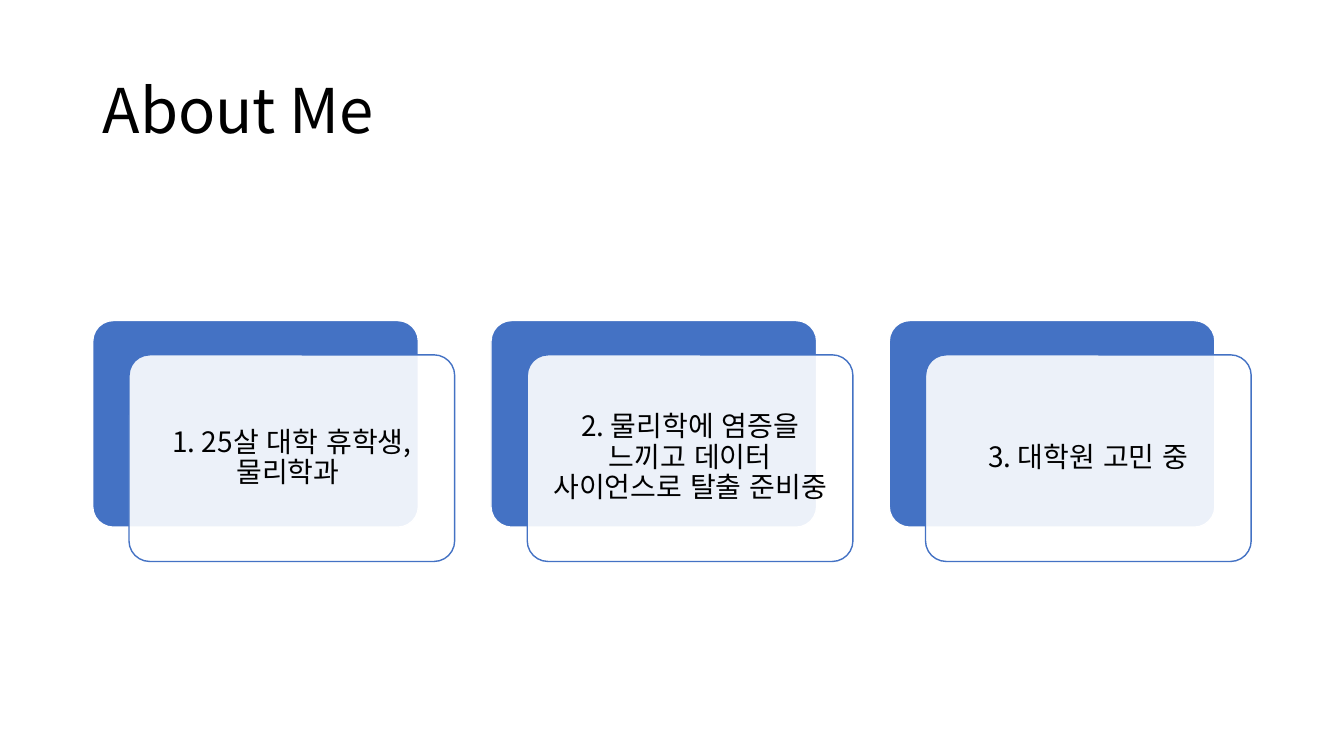
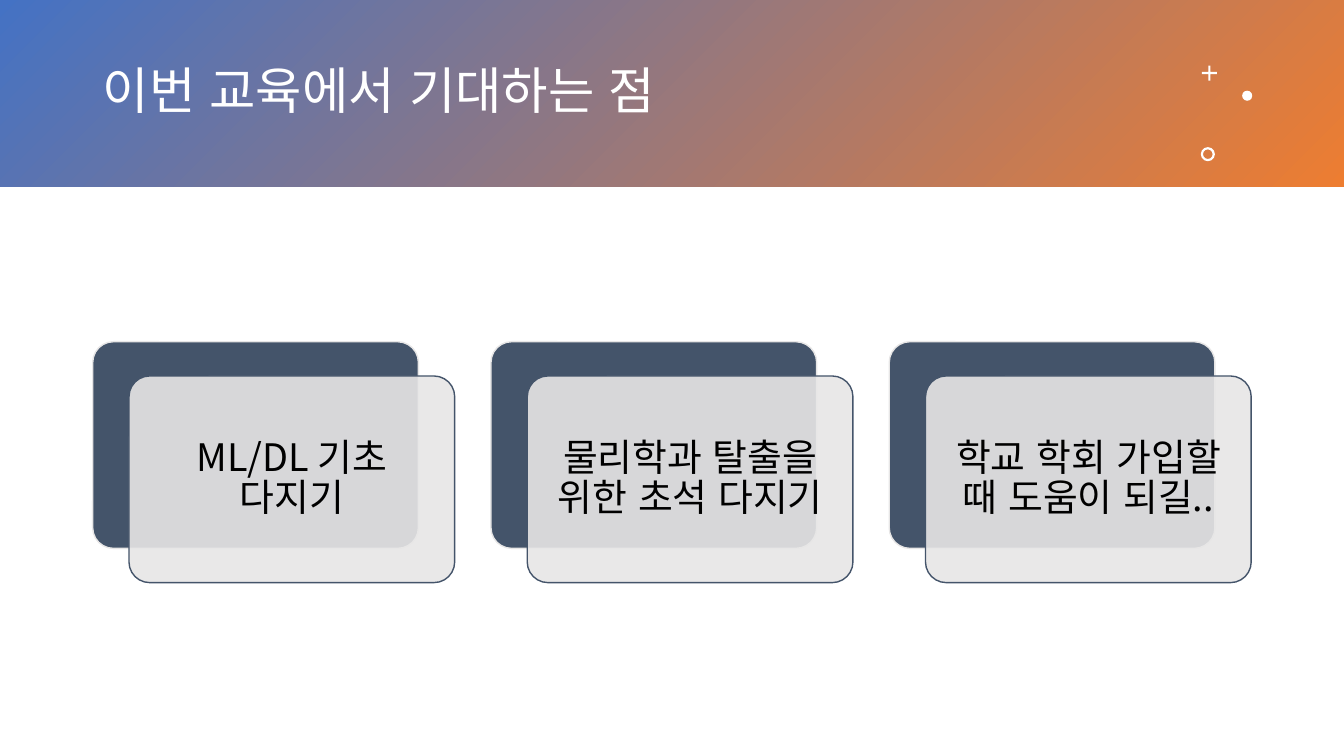
import pptx
import pptx.dml.color
import pptx.enum.lang
import pptx.enum.shapes
import pptx.enum.text
import pptx.oxml.ns
import pptx.util
from lxml import etree

Inches = pptx.util.Inches
Pt = pptx.util.Pt
RGBColor = pptx.dml.color.RGBColor
Shapes = pptx.enum.shapes.MSO_SHAPE
Align = pptx.enum.text.PP_ALIGN

FONT = "Noto Sans CJK KR"
BLACK = RGBColor(0x00, 0x00, 0x00)
WHITE = RGBColor(0xFF, 0xFF, 0xFF)
BLUE = RGBColor(0x44, 0x72, 0xC4)
ORANGE = RGBColor(0xED, 0x7D, 0x31)
SLATE = RGBColor(0x44, 0x54, 0x6A)
GREY = RGBColor(0xE7, 0xE6, 0xE6)

SLIDE_WIDTH, SLIDE_HEIGHT = 13.33, 7.5
MARGIN = 0.92
CARD_WIDTH, CARD_HEIGHT = 3.23, 2.05
CARD_STEP = 3.95
CARD_SHIFT_X, CARD_SHIFT_Y = 0.36, 0.34
CARD_PADDING = 0.06


def add_text(slide, text, box, size, color=BLACK, align=Align.LEFT, inset_x=0.1, inset_y=0.05):
    """Place one vertically centred paragraph in a box of inches."""
    shape = slide.shapes.add_textbox(*map(Inches, box))
    frame = shape.text_frame
    frame.word_wrap = True
    frame.vertical_anchor = pptx.enum.text.MSO_ANCHOR.MIDDLE
    frame.margin_left = frame.margin_right = Inches(inset_x)
    frame.margin_top = frame.margin_bottom = Inches(inset_y)
    paragraph = frame.paragraphs[0]
    paragraph.alignment = align
    paragraph.line_spacing = 0.9
    run = paragraph.add_run()
    run.text = text
    run.font.name = FONT
    run.font.size = Pt(size)
    run.font.color.rgb = color
    run.font.language_id = pptx.enum.lang.MSO_LANGUAGE_ID.KOREAN
    east_asian = etree.SubElement(run.font._element, pptx.oxml.ns.qn("a:ea"))
    east_asian.set("typeface", FONT)
    return shape


def add_preset(slide, preset, box, fill, line=None, opacity=100, adjustment=None):
    """Place a preset shape with a solid fill and an optional outline."""
    shape = slide.shapes.add_shape(preset, *map(Inches, box))
    shape.shadow.inherit = False
    shape.fill.solid()
    shape.fill.fore_color.rgb = fill
    if opacity < 100:
        color = shape._element.spPr.find(".//" + pptx.oxml.ns.qn("a:srgbClr"))
        alpha = etree.SubElement(color, pptx.oxml.ns.qn("a:alpha"))
        alpha.set("val", str(opacity * 1000))
    if line is None:
        shape.line.fill.background()
    else:
        shape.line.color.rgb = line
        shape.line.width = Pt(1)
    if adjustment is not None:
        shape.adjustments[0] = adjustment
    return shape


def add_card(slide, left, top, text, dark, light, size, inset):
    """Place a dark plate with a translucent, labelled plate shifted over it."""
    front_left, front_top = left + CARD_SHIFT_X, top + CARD_SHIFT_Y
    add_preset(slide, Shapes.ROUNDED_RECTANGLE, (left, top, CARD_WIDTH, CARD_HEIGHT),
               dark, line=light, adjustment=0.1)
    add_preset(slide, Shapes.ROUNDED_RECTANGLE, (front_left, front_top, CARD_WIDTH, CARD_HEIGHT),
               light, line=dark, opacity=90, adjustment=0.1)
    text_box = (front_left + CARD_PADDING, front_top + CARD_PADDING,
                CARD_WIDTH - 2 * CARD_PADDING, CARD_HEIGHT - 2 * CARD_PADDING)
    add_text(slide, text, text_box, size, align=Align.CENTER, inset_x=inset, inset_y=inset)


def add_card_row(slide, top, texts, **card_format):
    """Place the cards side by side from the left margin."""
    for index, text in enumerate(texts):
        add_card(slide, MARGIN + index * CARD_STEP, top, text, **card_format)


def add_sparkles(slide, left, top):
    """Place the plus, dot and ring ornament."""
    add_preset(slide, Shapes.CROSS, (left + 0.01, top, 0.15, 0.15), WHITE, adjustment=0.43)
    add_preset(slide, Shapes.OVAL, (left + 0.41, top + 0.25, 0.1, 0.1), WHITE)
    add_preset(slide, Shapes.DONUT, (left, top + 0.81, 0.14, 0.14), WHITE, adjustment=0.16)


def add_banner(slide, title, height):
    """Place the gradient band with its title and ornament."""
    band = add_preset(slide, Shapes.RECTANGLE, (0, 0, SLIDE_WIDTH, height), BLUE)
    band.fill.gradient()
    band.fill.gradient_angle = 315
    for stop, color in zip(band.fill.gradient_stops, (BLUE, ORANGE)):
        stop.color.rgb = color
    add_text(slide, title, (MARGIN, 0.33, 10.75, 1.19), 36, color=WHITE)
    add_sparkles(slide, 11.91, 0.65)


def build_about_slide(slide):
    """Build the self-introduction slide."""
    add_text(slide, "About Me", (MARGIN, 0.4, 11.5, 1.45), 44)
    texts = ("1. 25살 대학 휴학생, 물리학과 ",
             "2. 물리학에 염증을 느끼고 데이터 사이언스로 탈출 준비중",
             "3. 대학원 고민 중")
    add_card_row(slide, 3.18, texts, dark=BLUE, light=WHITE, size=20, inset=0.09)


def build_expectations_slide(slide):
    """Build the slide of expectations for the course."""
    add_banner(slide, "이번 교육에서 기대하는 점", 1.85)
    texts = ("ML/DL 기초 다지기",
             "물리학과 탈출을 위한 초석 다지기",
             "학교 학회 가입할 때 도움이 되길..")
    add_card_row(slide, 3.39, texts, dark=SLATE, light=GREY, size=27, inset=0.11)


def main():
    """Build and save the presentation."""
    presentation = pptx.Presentation()
    presentation.slide_width = Inches(SLIDE_WIDTH)
    presentation.slide_height = Inches(SLIDE_HEIGHT)
    for build in (build_about_slide, build_expectations_slide):
        build(presentation.slides.add_slide(presentation.slide_layouts[6]))
    presentation.save("out.pptx")


if __name__ == "__main__":
    main()
